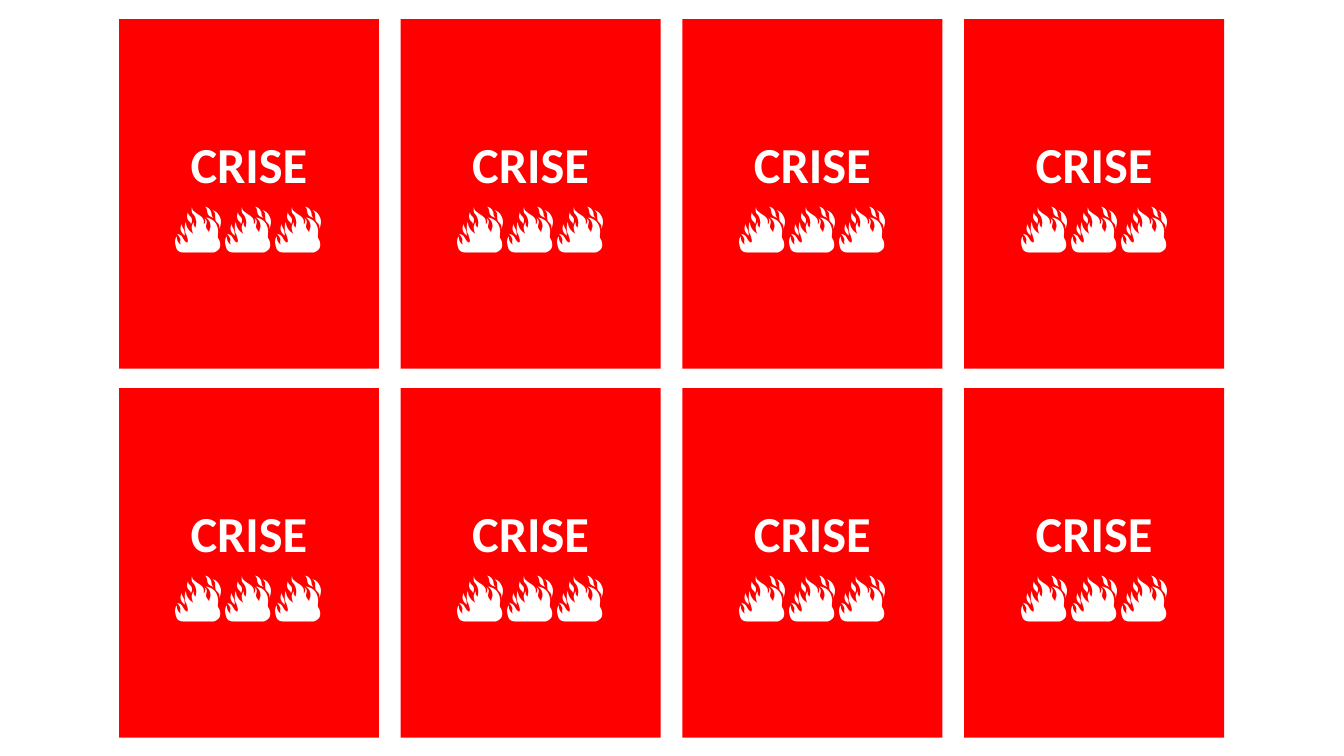
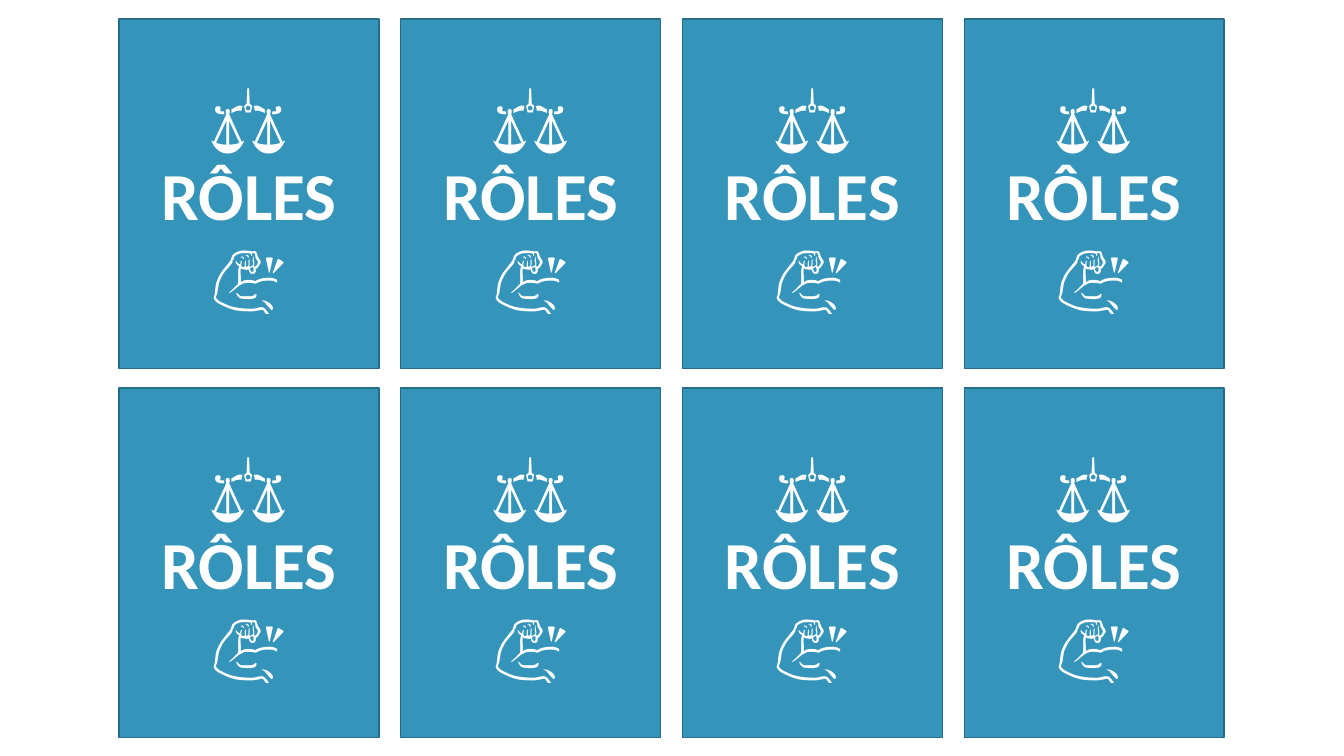
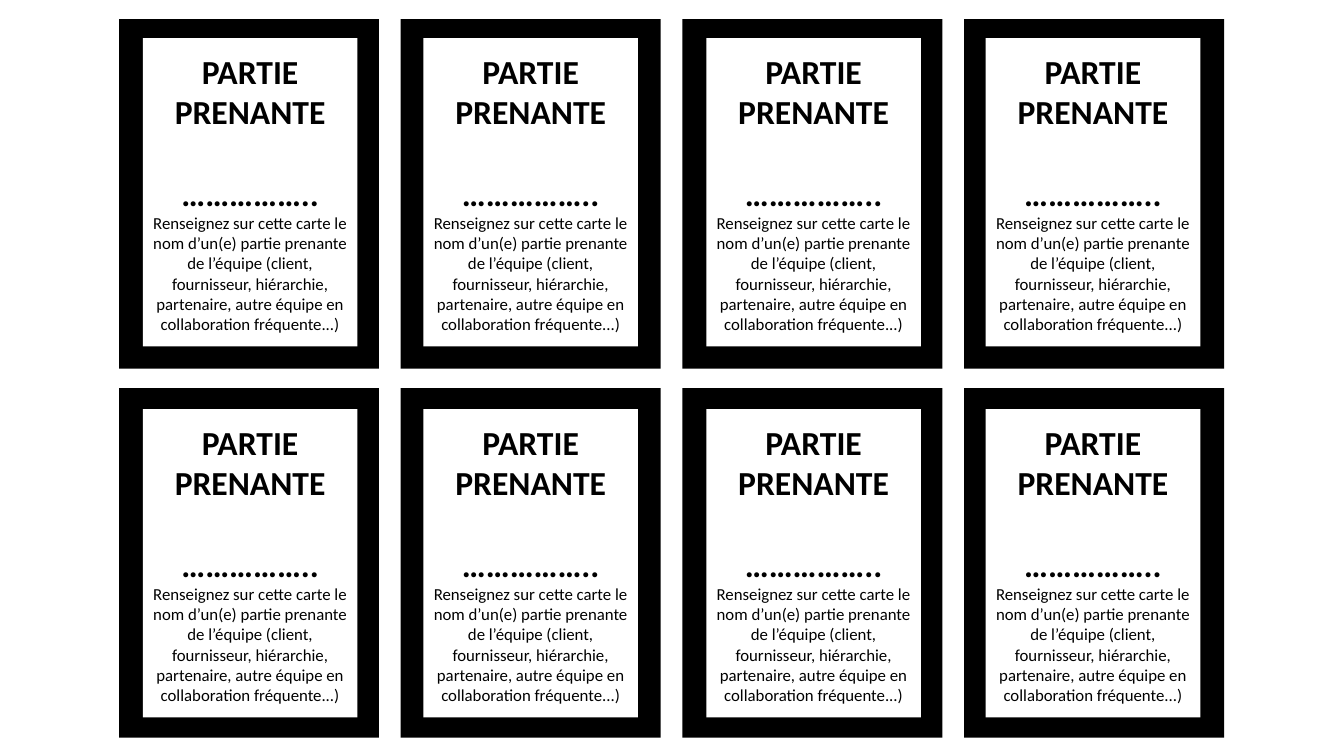
"""Build three sheets of printable game cards: crisis, roles and stakeholders."""
from itertools import product

from pptx import Presentation
from pptx.dml.color import RGBColor
from pptx.enum.shapes import MSO_SHAPE
from pptx.enum.text import MSO_ANCHOR, PP_ALIGN
from pptx.util import Cm, Pt

RECTANGLE = MSO_SHAPE.RECTANGLE
MIDDLE = MSO_ANCHOR.MIDDLE
CENTER = PP_ALIGN.CENTER

FONT = "Calibri"
WHITE, BLACK, RED = "FFFFFF", "000000", "FF0000"
BLUE, DARK_BLUE = "3494BA", "266D8A"

CARD_SIZE = (6.55, 8.81)
CARD_LEFTS = [3 + 7.1 * column for column in range(4)]
CARD_TOPS = [0.48 + 9.3 * row for row in range(2)]
LABEL_SIZE = (5.41, 7.77)
LABEL_LEFTS = [3.6, 10.67, 17.8, 24.84]
LABEL_TOPS = [0.96, 10.31]

INSTRUCTION = (
    "Renseignez sur cette carte le nom d’un(e) partie prenante de l’équipe "
    "(client, fournisseur, hiérarchie, partenaire, autre équipe en "
    "collaboration fréquente...)"
)


def color(hex_code):
    return RGBColor.from_string(hex_code)


class CardDeck:
    """Holds the card style and the slide being filled."""

    def __init__(self):
        self.presentation = Presentation()
        self.presentation.slide_width = Cm(33.87)
        self.presentation.slide_height = Cm(19.05)
        self.slide = None

    def new_sheet(self):
        blank_layout = self.presentation.slide_layouts[6]
        self.slide = self.presentation.slides.add_slide(blank_layout)

    def panel(self, left, top, size, fill, border=None):
        width, height = size
        panel = self.slide.shapes.add_shape(
            RECTANGLE, Cm(left), Cm(top), Cm(width), Cm(height))
        panel.shadow.inherit = False
        panel.fill.solid()
        panel.fill.fore_color.rgb = color(fill)
        if border:
            panel.line.color.rgb = color(border)
            panel.line.width = Pt(1)
        else:
            panel.line.fill.background()
        return panel

    def add_lines(self, panel, lines, size, ink):
        frame = panel.text_frame
        frame.word_wrap = True
        frame.vertical_anchor = MIDDLE
        frame.text = "\n".join(lines)
        for paragraph in frame.paragraphs:
            paragraph.alignment = CENTER
            for run in paragraph.runs:
                run.font.name = FONT
                run.font.size = Pt(size)
                run.font.bold = True
                run.font.color.rgb = color(ink)
        return frame.paragraphs

    def cards(self, fill, lines=(), size=36, border=None):
        for left, top in product(CARD_LEFTS, CARD_TOPS):
            card = self.panel(left, top, CARD_SIZE, fill, border)
            if lines:
                self.add_lines(card, lines, size, WHITE)

    def stakeholder_labels(self):
        for left, top in product(LABEL_LEFTS, LABEL_TOPS):
            label = self.panel(left, top, LABEL_SIZE, WHITE)
            lines = ("PARTIE PRENANTE", "……………..", INSTRUCTION)
            _, name_line, instruction = self.add_lines(label, lines, 24, BLACK)
            name_line.space_before = Pt(29.3)
            instruction.runs[0].font.size = Pt(12)
            instruction.runs[0].font.bold = False


def main():
    deck = CardDeck()
    deck.new_sheet()
    deck.cards(RED, ("CRISE", "🔥🔥🔥"))
    deck.new_sheet()
    deck.cards(BLUE, ("⚖️", "RÔLES", "💪"), size=48, border=DARK_BLUE)
    deck.new_sheet()
    deck.cards(BLACK)
    deck.stakeholder_labels()
    deck.presentation.save("out.pptx")


if __name__ == "__main__":
    main()
